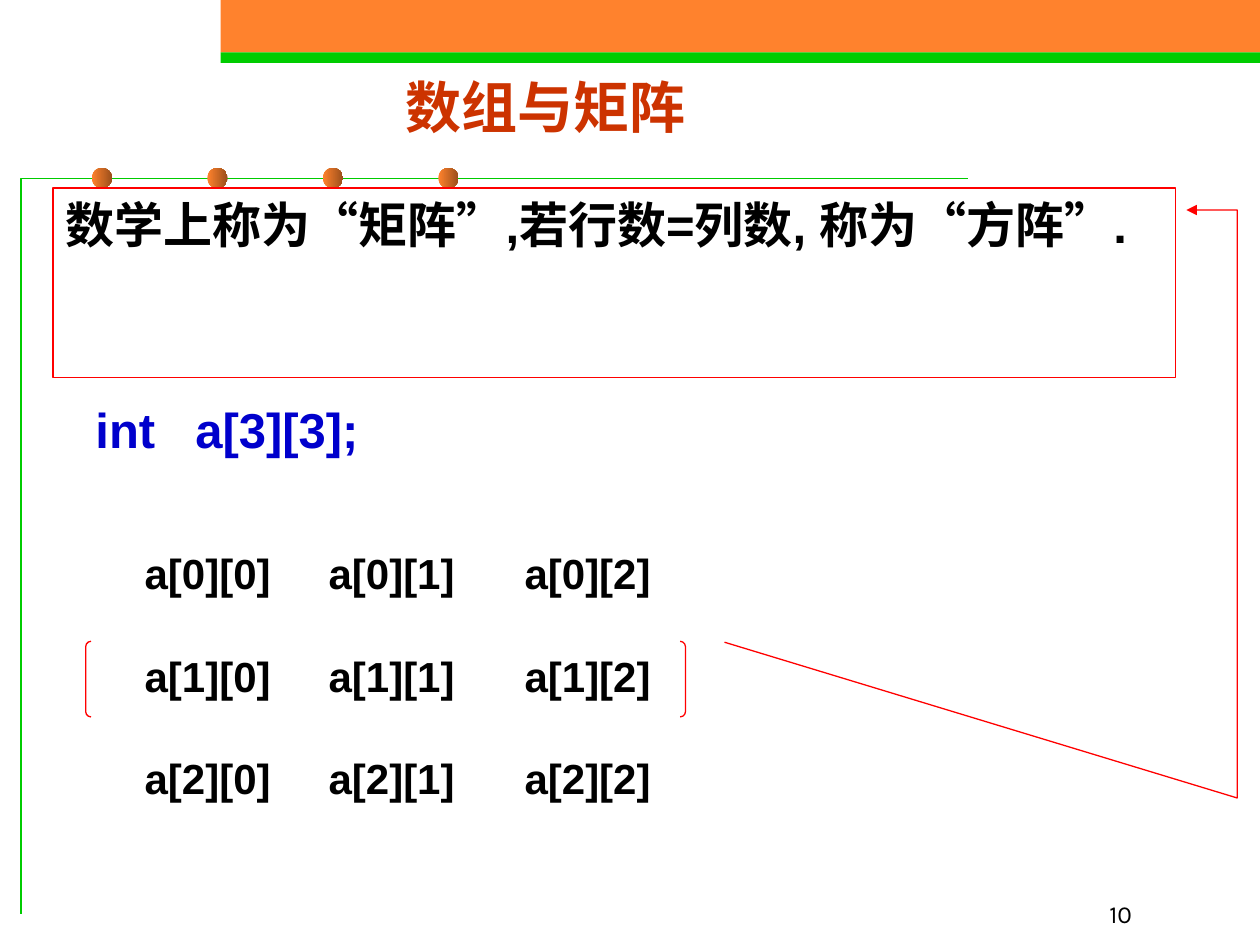
from dataclasses import dataclass

from lxml import etree
from pptx import Presentation
from pptx import util as u
from pptx.dml.color import RGBColor
from pptx.enum import shapes, text
from pptx.oxml.ns import qn

HUES = {
    "orange": "FF822D", "brown": "9B4F1B", "green": "00CC00", "red": "FF0000",
    "title": "CC3300", "code": "0000CC", "ink": "000000",
}
KIND = shapes.MSO_SHAPE
ALIGN = text.PP_ALIGN
ANCHOR = text.MSO_ANCHOR


@dataclass
class Box:
    x: float
    y: float
    w: float
    h: float

    def dims(self) -> list:
        return [u.Pt(n) for n in (self.x, self.y, self.w, self.h)]


@dataclass
class Style:
    size: float
    hue: str = "ink"
    font: str = "Arial"
    bold: bool = True
    align: ALIGN = ALIGN.LEFT
    anchor: ANCHOR = ANCHOR.MIDDLE
    gap: float = 0
    tabs: tuple = ()


def color(name: str) -> RGBColor:
    return RGBColor.from_string(HUES[name])


def outline(shape, hue: str) -> None:
    shape.fill.background()
    shape.line.color.rgb = color(hue)
    shape.line.width = u.Pt(0.75)


def add_shape(slide, kind: KIND, box: Box):
    shape = slide.shapes.add_shape(kind, *box.dims())
    shape.shadow.inherit = False
    return shape


def add_bar(slide, box: Box, hue: str) -> None:
    bar = add_shape(slide, KIND.RECTANGLE, box)
    bar.fill.solid()
    bar.fill.fore_color.rgb = color(hue)
    bar.line.fill.background()


def add_dot(slide, box: Box) -> None:
    dot = add_shape(slide, KIND.OVAL, box)
    dot.fill.gradient()
    dot.fill.gradient_angle = 0
    for stop, hue in zip(dot.fill.gradient_stops, ("orange", "brown")):
        stop.color.rgb = color(hue)
    dot.line.fill.background()


def add_path(slide, points: list, hue: str):
    """Draw an open line through the points."""
    pen = slide.shapes.build_freeform(*points[0], scale=u.Pt(1))
    pen.add_line_segments(points[1:], close=False)
    line = pen.convert_to_shape()
    line.shadow.inherit = False
    outline(line, hue)
    return line


def write(shape, lines: list, style: Style) -> None:
    frame = shape.text_frame
    frame.word_wrap = True
    frame.vertical_anchor = style.anchor
    frame.text = "\n".join(lines)
    for i, para in enumerate(frame.paragraphs):
        para.alignment = style.align
        para.space_before = u.Pt(style.gap if i else 0)
        if style.tabs:
            stops = etree.SubElement(para._p.get_or_add_pPr(), qn("a:tabLst"))
            for pos in style.tabs:
                etree.SubElement(stops, qn("a:tab"), pos=str(u.Pt(pos)), algn="l")
        for run in para.runs:
            run.font.size = u.Pt(style.size)
            run.font.name = style.font
            run.font.bold = style.bold
            run.font.color.rgb = color(style.hue)


def add_text(slide, box: Box, lines: list, style: Style) -> None:
    write(slide.shapes.add_textbox(*box.dims()), lines, style)


def add_frame(slide) -> None:
    """Draw the bars, the corner line and its dots."""
    add_bar(slide, Box(126, 0, 594, 30), "orange")
    add_bar(slide, Box(126, 30, 594, 6), "green")
    add_path(slide, [(12, 522), (12, 101.5), (552.75, 101.5)], "green")
    for i in range(4):
        add_dot(slide, Box(52.5 + 66 * i, 96, 11.5, 11.5))


def add_note(slide) -> None:
    """Draw the boxed definition and the arrow that leads to it."""
    note = add_shape(slide, KIND.RECTANGLE, Box(30.25, 107.5, 641.5, 108.25))
    outline(note, "red")
    write(note, ["数学上称为“矩阵”,若行数=列数, 称为“方阵”."],
          Style(28, anchor=ANCHOR.TOP))
    lead = add_path(
        slide, [(677.75, 120.25), (707, 120.25), (707, 456.5), (413.5, 367.25)], "red")
    etree.SubElement(lead.line._get_or_add_ln(), qn("a:headEnd"), type="triangle")


def add_matrix(slide) -> None:
    rows = ["\t".join(f"a[{r}][{c}]" for c in range(3)) for r in range(3)]
    add_text(slide, Box(75.6, 310.3, 319, 151.2), rows,
             Style(24, gap=29.8, tabs=(105.1, 217.1)))
    pair = add_shape(slide, KIND.DOUBLE_BRACKET, Box(49, 366.5, 342.7, 43.2))
    pair.adjustments[0] = 0.07
    outline(pair, "red")


def main() -> None:
    deck = Presentation()
    deck.slide_width, deck.slide_height = u.Pt(720), u.Pt(540)
    slide = deck.slides.add_slide(deck.slide_layouts[6])
    add_frame(slide)
    add_text(slide, Box(504, 498, 150, 36), ["10"],
             Style(14, font="Karla", bold=False, align=ALIGN.RIGHT, anchor=ANCHOR.BOTTOM))
    add_text(slide, Box(0, 37.5, 623.5, 46.8), ["数组与矩阵"],
             Style(32, "title", "Karla", align=ALIGN.CENTER))
    add_text(slide, Box(47.5, 224.6, 304, 41), ["int\ta[3][3];"],
             Style(28, "code", tabs=(57.1,)))
    add_matrix(slide)
    add_note(slide)
    deck.save("out.pptx")


if __name__ == "__main__":
    main()
